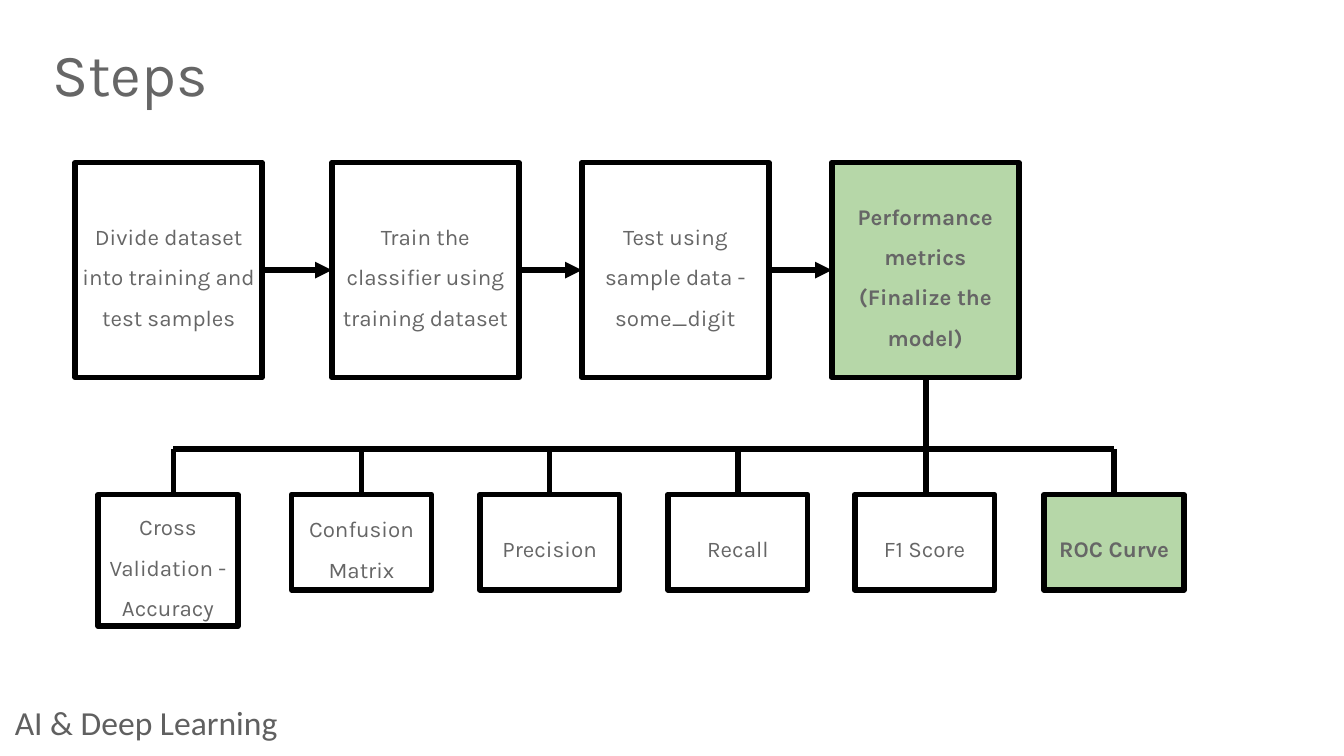
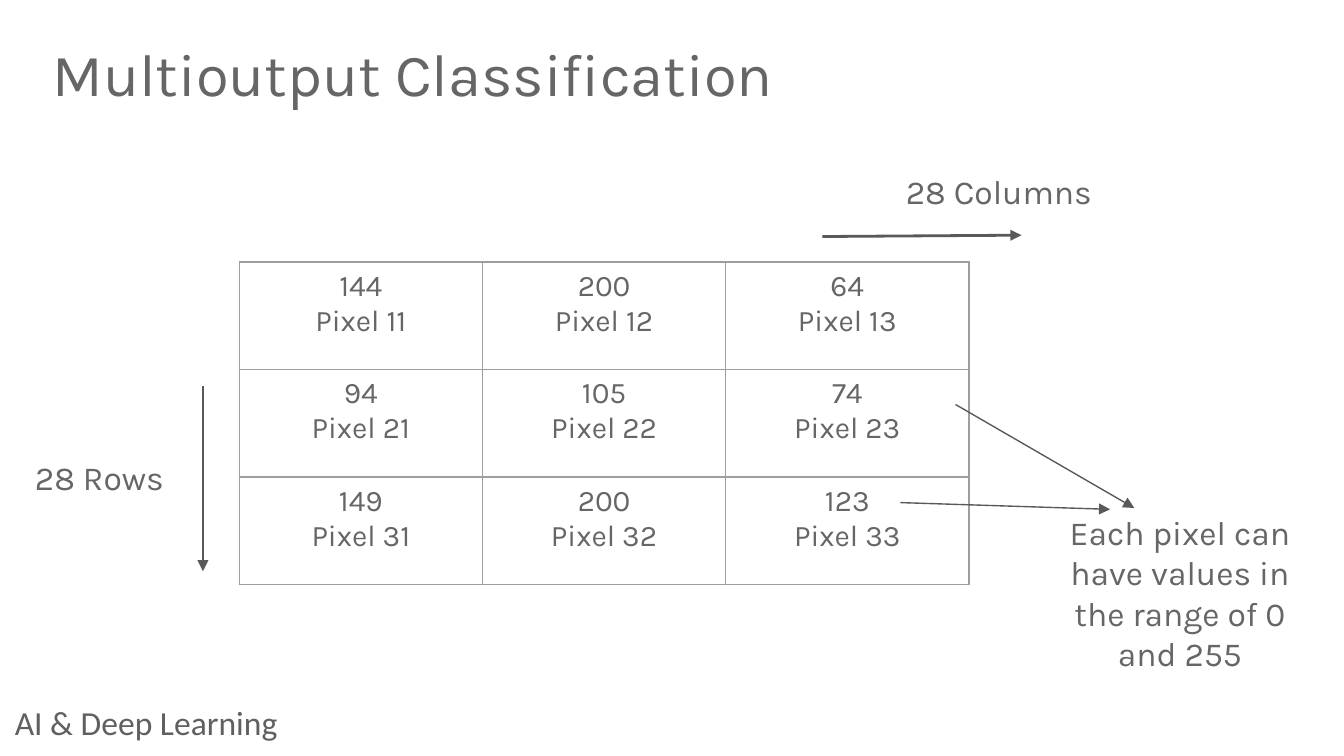
from lxml import etree
from pptx import Presentation
from pptx.dml.color import RGBColor
from pptx.enum import shapes, text
from pptx.oxml.ns import qn
from pptx.util import Inches, Pt

GREY = RGBColor(0x66, 0x66, 0x66)
FOOTER_GREY = RGBColor(0x60, 0x60, 0x60)
ARROW_GREY = RGBColor(0x59, 0x59, 0x59)
BORDER_GREY = RGBColor(0x9E, 0x9E, 0x9E)
BLACK = RGBColor(0, 0, 0)
GREEN = RGBColor(0xB6, 0xD7, 0xA8)
LEFT, CENTER = text.PP_ALIGN.LEFT, text.PP_ALIGN.CENTER
TOP, MIDDLE = text.MSO_ANCHOR.TOP, text.MSO_ANCHOR.MIDDLE

FOOTER = "AI & Deep Learning"

STEPS = [
    (0.56, "Divide dataset into training and test samples"),
    (2.47, "Train the classifier using training dataset"),
    (4.33, "Test using sample data - some_digit"),
    (6.19, "Performance metrics (Finalize the model)"),
]
STEP_TOP, STEP_W, STEP_H = 1.21, 1.39, 1.6

METRICS = [
    (0.73, 0.98, "Cross Validation - Accuracy"),
    (2.17, 0.71, "Confusion Matrix"),
    (3.57, 0.71, "Precision"),
    (4.97, 0.71, "Recall"),
    (6.36, 0.71, "F1 Score"),
    (7.77, 0.71, "ROC Curve"),
]
METRIC_TOP, METRIC_W = 3.68, 1.04
BUS_Y, DROP_LEFT, DROP_GAP = 3.34, 1.29, 1.4
HIGHLIGHTED = {STEPS[-1][-1], METRICS[-1][-1]}

PIXELS = [[144, 200, 64], [94, 105, 74], [149, 200, 123]]
COL_W, ROW_H = 1.81, 0.8

LABELS = [
    ((6.68, 1.21, 1.61, 0.44), "28 Columns", LEFT, TOP),
    ((0.2, 3.34, 1.12, 0.44), "28 Rows", LEFT, TOP),
    ((7.76, 3.72, 2.04, 1.38),
     "Each pixel can have values in the range of 0 and 255", CENTER, MIDDLE),
]
POINTERS = [
    ((6.12, 1.76), (7.6, 1.75), 1.5),
    ((1.51, 2.87), (1.51, 4.25), 1.5),
    ((7.11, 3.01), (8.44, 3.78), 0.75),
    ((6.7, 3.74), (8.26, 3.79), 0.75),
]


def write(tf, words, size, align=LEFT, anchor=MIDDLE, inset=0.04,
          spacing=None, bold=False, font="Karla", color=GREY):
    tf.word_wrap = True
    tf.vertical_anchor = anchor
    tf.margin_left = tf.margin_right = Inches(inset)
    tf.margin_top = tf.margin_bottom = Inches(inset)
    p = tf.paragraphs[0]
    p.text = words
    style(p, size, align, bold, font, color)
    if spacing:
        p.line_spacing = spacing


def style(p, size, align, bold=False, font="Karla", color=GREY):
    p.alignment = align
    p.font.size = Pt(size)
    p.font.name = font
    p.font.bold = bold
    p.font.color.rgb = color


def add_text(s, box, words, size, **options):
    tb = s.shapes.add_textbox(*map(Inches, box))
    write(tb.text_frame, words, size, **options)


def add_box(s, left, top, width, height, words):
    sp = s.shapes.add_shape(shapes.MSO_SHAPE.RECTANGLE,
                            *map(Inches, (left, top, width, height)))
    sp.shadow.inherit = False
    strong = words in HIGHLIGHTED
    if strong:
        sp.fill.solid()
        sp.fill.fore_color.rgb = GREEN
    else:
        sp.fill.background()
    sp.line.color.rgb = BLACK
    sp.line.width = Pt(3)
    write(sp.text_frame, words, 12, align=CENTER, spacing=1.5, bold=strong)


def add_line(s, start, end, width=3, color=BLACK, arrow=False):
    cx = s.shapes.add_connector(shapes.MSO_CONNECTOR.STRAIGHT,
                                *map(Inches, (*start, *end)))
    cx.line.color.rgb = color
    cx.line.width = Pt(width)
    if arrow:
        ln = cx.line._get_or_add_ln()
        etree.SubElement(ln, qn("a:tailEnd"), type="triangle")
    etree.SubElement(cx._element.spPr, qn("a:effectLst"))


def add_borders(cell):
    tc_pr = cell._tc.get_or_add_tcPr()
    for side in ("lnL", "lnR", "lnT", "lnB"):
        ln = etree.SubElement(tc_pr, qn(f"a:{side}"), w=str(Pt(0.75)))
        fill = etree.SubElement(ln, qn("a:solidFill"))
        etree.SubElement(fill, qn("a:srgbClr"), val=str(BORDER_GREY))


def add_slide(prs, title):
    s = prs.slides.add_slide(prs.slide_layouts[6])
    add_text(s, (0.07, 5.26, 2.85, 0.23), FOOTER, 18,
             font="Calibri", color=FOOTER_GREY)
    add_text(s, (0.39, 0.24, 9.22, 0.67), title, 32, inset=0, spacing=0.9)
    return s


def build_steps(prs):
    s = add_slide(prs, "Steps")
    for left, words in STEPS:
        add_box(s, left, STEP_TOP, STEP_W, STEP_H, words)
    mid = STEP_TOP + STEP_H / 2
    for (left, _), (following, _) in zip(STEPS, STEPS[1:]):
        add_line(s, (left + STEP_W, mid), (following, mid), arrow=True)

    for i, (left, height, words) in enumerate(METRICS):
        add_box(s, left, METRIC_TOP, METRIC_W, height, words)
        x = DROP_LEFT + i * DROP_GAP
        top = STEP_TOP + STEP_H if words == "F1 Score" else BUS_Y
        add_line(s, (x, METRIC_TOP), (x, top))
    bus_right = DROP_LEFT + (len(METRICS) - 1) * DROP_GAP
    add_line(s, (bus_right, BUS_Y), (DROP_LEFT, BUS_Y))


def build_pixels(prs):
    s = add_slide(prs, "Multioutput Classification")
    rows, cols = len(PIXELS), len(PIXELS[0])
    frame = s.shapes.add_table(rows, cols, Inches(1.78), Inches(1.95),
                               Inches(cols * COL_W), Inches(rows * ROW_H))
    table = frame.table
    table.first_row = table.horz_banding = False
    for column in table.columns:
        column.width = Inches(COL_W)
    for i, values in enumerate(PIXELS):
        table.rows[i].height = Inches(ROW_H)
        for j, value in enumerate(values):
            cell = table.cell(i, j)
            cell.margin_left = cell.margin_right = Inches(0.07)
            cell.margin_top = cell.margin_bottom = Inches(0.05)
            cell.text = f"{value}\nPixel {i + 1}{j + 1}"
            for p in cell.text_frame.paragraphs:
                style(p, 16, CENTER)
            add_borders(cell)
            cell.fill.background()

    for box, words, align, anchor in LABELS:
        add_text(s, box, words, 18, align=align, anchor=anchor, inset=0.06)
    for start, end, width in POINTERS:
        add_line(s, start, end, width, ARROW_GREY, arrow=True)


def main():
    prs = Presentation()
    prs.slide_width = Inches(10)
    prs.slide_height = prs.slide_width * 9 // 16
    build_steps(prs)
    build_pixels(prs)
    prs.save("out.pptx")


if __name__ == "__main__":
    main()
